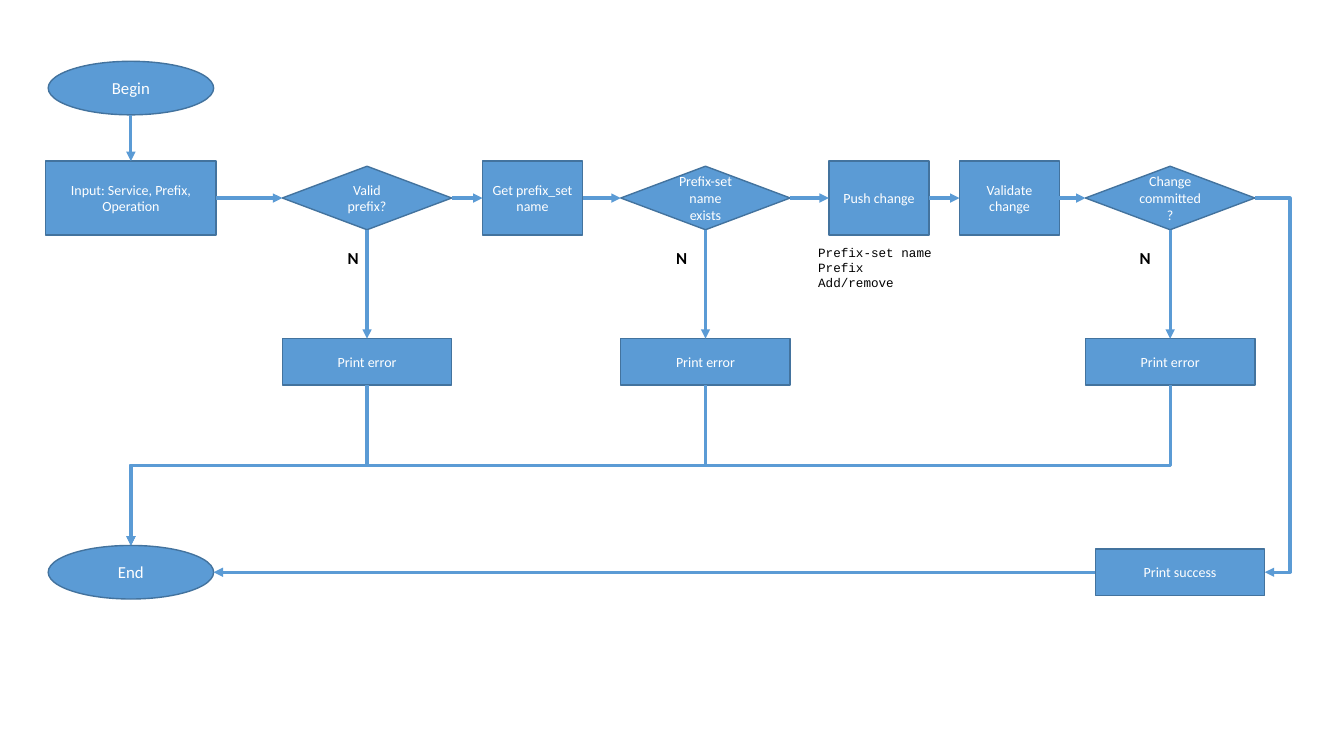
from lxml.etree import SubElement
from pptx import Presentation
from pptx.dml.color import RGBColor
from pptx.enum.shapes import MSO_CONNECTOR as Link, MSO_SHAPE as Kind
from pptx.enum.text import MSO_ANCHOR as Anchor, MSO_AUTO_SIZE as AutoSize, PP_ALIGN as Align
from pptx.oxml.ns import qn
from pptx.util import Cm, Pt

COLOURS = {"fill": "5B9BD5", "outline": "43739E", "light": "FFFFFF", "dark": "000000"}

# Sizes in cm: width, height
TERMINAL, INPUT, STEP = (4.17, 1.35), (4.29, 1.86), (2.52, 1.86)
DECISION, PRINT = (4.27, 1.6), (4.27, 1.17)

# Rows and columns are centre lines in cm
BEGIN_ROW, MAIN_ROW, ERROR_ROW, END_ROW = 2.22, 4.99, 9.12, 14.42
START_COL, VALID_COL, GET_COL, EXISTS_COL = 3.3, 9.25, 13.42, 17.78
PUSH_COL, VALIDATE_COL, COMMITTED_COL, SUCCESS_COL = 22.15, 25.44, 29.49, 29.74
SUCCESS_LANE = 32.51

SIDES = ("top", "left", "bottom", "right")


def colour(name):
    """Return the named colour."""
    return RGBColor.from_string(COLOURS[name])


def add_text(para, text, size, ink, font="Calibri", bold=False):
    """Add one formatted run to a paragraph."""
    span = para.add_run()
    span.text = text
    span.font.name = font
    span.font.size = Pt(size)
    span.font.bold = bold
    span.font.color.rgb = colour(ink)


def add_node(page, kind, text, column, row, extent, size=10):
    """Add a flowchart shape centred on a column and a row."""
    width, height = extent
    box = page.shapes.add_shape(kind, Cm(column - width / 2), Cm(row - height / 2),
                                Cm(width), Cm(height))
    box.shadow.inherit = False
    box.fill.solid()
    box.fill.fore_color.rgb = colour("fill")
    box.line.color.rgb = colour("outline")
    box.line.width = Pt(1)
    frame = box.text_frame
    frame.word_wrap = True
    frame.vertical_anchor = Anchor.MIDDLE
    para = frame.paragraphs[0]
    para.alignment = Align.CENTER
    add_text(para, text, size, "light")
    return box


def add_label(page, lines, left, top, width, height, size, **style):
    """Add a text box with one paragraph per line."""
    box = page.shapes.add_textbox(Cm(left), Cm(top), Cm(width), Cm(height))
    frame = box.text_frame
    frame.word_wrap = True
    frame.auto_size = AutoSize.SHAPE_TO_FIT_TEXT
    for index, line in enumerate(lines):
        para = frame.add_paragraph() if index else frame.paragraphs[0]
        add_text(para, line, size, "dark", **style)


def side_point(box, side):
    """Return the middle of one side of a shape."""
    middle, centre = box.left + box.width // 2, box.top + box.height // 2
    return {"top": (middle, box.top), "left": (box.left, centre),
            "bottom": (middle, box.top + box.height),
            "right": (box.left + box.width, centre)}[side]


def glue(arrow, tag, box, side):
    """Attach one end of a connector; an ellipse has twice as many sites."""
    step = 2 if box.auto_shape_type == Kind.OVAL else 1
    SubElement(arrow.element.nvCxnSpPr.cNvCxnSpPr, qn(tag),
               id=str(box.shape_id), idx=str(SIDES.index(side) * step))


def add_arrow(page, source, leave, target, enter, link=Link.STRAIGHT, turned=False):
    """Connect two shapes; a turned elbow leaves downwards and ends to the left."""
    (x1, y1), (x2, y2) = side_point(source, leave), side_point(target, enter)
    if turned:
        middle, centre = (x1 + x2) // 2, (y1 + y2) // 2
        half_drop, half_run = (y2 - y1) // 2, (x1 - x2) // 2
        x1, x2 = middle - half_drop, middle + half_drop
        y1, y2 = centre - half_run, centre + half_run
    arrow = page.shapes.add_connector(link, x1, y1, x2, y2)
    if turned:
        arrow.element.spPr.find(qn("a:xfrm")).set("rot", "5400000")
    glue(arrow, "a:stCxn", source, leave)
    glue(arrow, "a:endCxn", target, enter)
    arrow.line.color.rgb = colour("fill")
    arrow.line.width = Pt(2.25)
    SubElement(arrow.line._get_or_add_ln(), qn("a:tailEnd"), type="triangle")
    SubElement(arrow.element.spPr, qn("a:effectLst"))
    return arrow


def set_lane(arrow, lane):
    """Put the vertical part of an elbow at the given horizontal position."""
    share = round((lane - arrow.begin_x) / arrow.width * 100000)
    guides = arrow.element.spPr.find(qn("a:prstGeom")).get_or_add_avLst()
    SubElement(guides, qn("a:gd"), name="adj1", fmla=f"val {share}")


def main():
    """Build the flowchart slide."""
    deck = Presentation()
    deck.slide_width, deck.slide_height = Cm(33.87), Cm(19.05)
    page = deck.slides.add_slide(deck.slide_layouts[6])

    begin = add_node(page, Kind.OVAL, "Begin", START_COL, BEGIN_ROW, TERMINAL, 12)
    end = add_node(page, Kind.OVAL, "End", START_COL, END_ROW, TERMINAL, 12)
    success = add_node(page, Kind.RECTANGLE, "Print success", SUCCESS_COL, END_ROW, PRINT)

    chain = [add_node(page, kind, text, column, MAIN_ROW, extent)
             for kind, text, column, extent in (
                 (Kind.RECTANGLE, "Input: Service, Prefix, Operation", START_COL, INPUT),
                 (Kind.DIAMOND, "Valid prefix?", VALID_COL, DECISION),
                 (Kind.RECTANGLE, "Get prefix_set name", GET_COL, STEP),
                 (Kind.DIAMOND, "Prefix-set name exists", EXISTS_COL, DECISION),
                 (Kind.RECTANGLE, "Push change", PUSH_COL, STEP),
                 (Kind.RECTANGLE, "Validate change", VALIDATE_COL, STEP),
                 (Kind.DIAMOND, "Change committed?", COMMITTED_COL, DECISION))]

    add_arrow(page, begin, "bottom", chain[0], "top")
    for source, target in zip(chain, chain[1:]):
        add_arrow(page, source, "right", target, "left")

    for decision, column, label_left in ((chain[1], VALID_COL, 8.51),
                                         (chain[3], EXISTS_COL, 16.79),
                                         (chain[6], COMMITTED_COL, 28.47)):
        error = add_node(page, Kind.RECTANGLE, "Print error", column, ERROR_ROW, PRINT)
        add_arrow(page, decision, "bottom", error, "top")
        add_arrow(page, error, "bottom", end, "top", Link.ELBOW, turned=True)
        add_label(page, ["N"], label_left, 6.12, 0.86, 0.77, 12, bold=True)

    committed = add_arrow(page, chain[6], "right", success, "right", Link.ELBOW)
    set_lane(committed, Cm(SUCCESS_LANE))
    add_arrow(page, success, "left", end, "right")
    add_label(page, ["Prefix-set name", "Prefix", "Add/remove"],
              20.37, 6.05, 3.45, 1.42, 9, font="Courier New")

    deck.save("out.pptx")


main()
